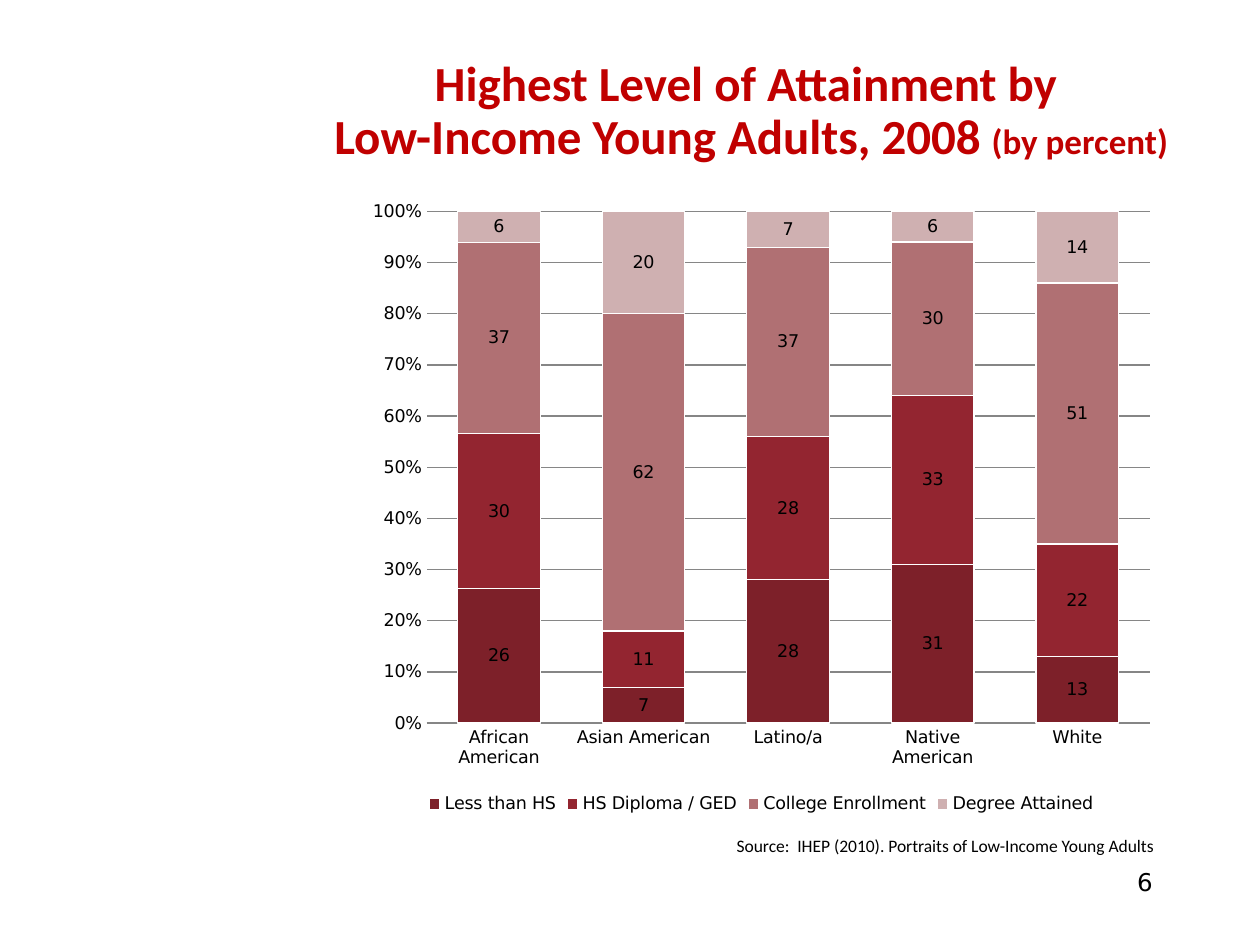
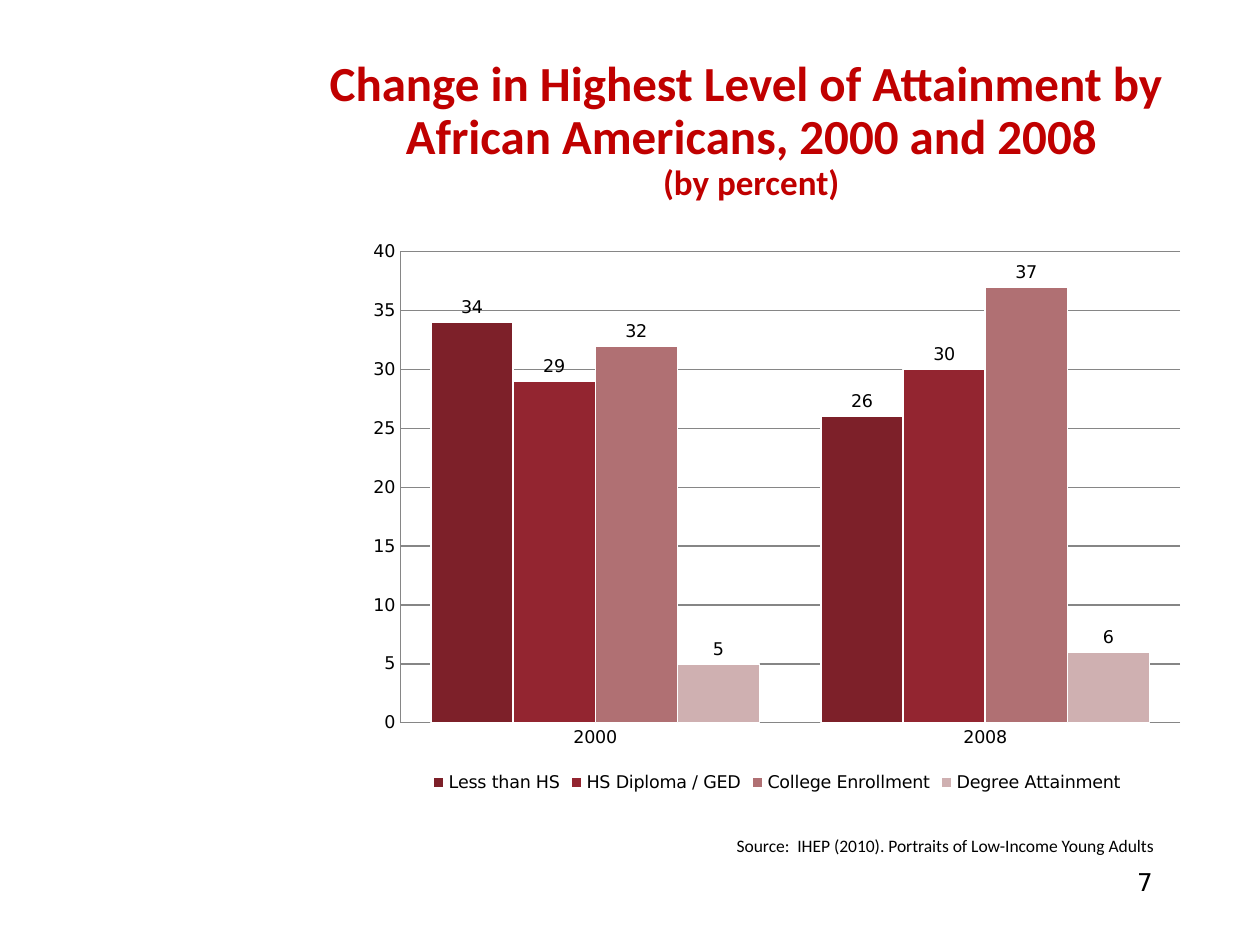
from dataclasses import dataclass

import pptx
import pptx.chart.data
import pptx.dml.color
import pptx.enum.chart
import pptx.enum.text
import pptx.util

Cm = pptx.util.Cm
Pt = pptx.util.Pt
Align = pptx.enum.text.PP_ALIGN
ChartType = pptx.enum.chart.XL_CHART_TYPE
LabelPosition = pptx.enum.chart.XL_LABEL_POSITION

TITLE_RED = "C00000"
BLACK = "000000"
WHITE = "FFFFFF"
GRID_GRAY = "868686"
SERIES_COLORS = ("7D2029", "932530", "B07073", "CFB0B1")
TEXT_FONT = "Calibri"
CHART_FONT = "DejaVu Sans"
SOURCE = "Source:  IHEP (2010). Portraits of Low-Income Young Adults"


@dataclass(frozen=True)
class Box:
    left: float
    top: float
    width: float
    height: float

    def lengths(self) -> tuple:
        return Cm(self.left), Cm(self.top), Cm(self.width), Cm(self.height)


@dataclass(frozen=True)
class TextStyle:
    size: int
    font: str = TEXT_FONT
    color: str = BLACK
    bold: bool = False


@dataclass(frozen=True)
class AttainmentSlide:
    number: int
    title_lines: tuple
    chart_box: Box
    chart_type: ChartType
    label_position: LabelPosition
    categories: tuple
    series: dict
    stacked: bool


TITLE_BOX = Box(5.72, 1.07, 18.85, 1.9)
NUMBER_BOX = Box(18.21, 17.35, 5.28, 1.27)
SOURCE_BOX = Box(14.6, 16.71, 9.07, 0.69)

TITLE = TextStyle(28, color=TITLE_RED, bold=True)
UNIT = TextStyle(20, color=TITLE_RED, bold=True)
NUMBER = TextStyle(14, font=CHART_FONT)
CAPTION = TextStyle(10)

SLIDES = (
    AttainmentSlide(
        6,
        (
            (("Highest Level of Attainment by ", TITLE),),
            (("Low-Income Young Adults, 2008 ", TITLE), ("(by percent)", UNIT)),
        ),
        Box(7.19, 3.81, 16.31, 12.7),
        ChartType.COLUMN_STACKED_100,
        LabelPosition.CENTER,
        ("African American", "Asian American", "Latino/a", "Native American", "White"),
        {
            "Less than HS": (26, 7, 28, 31, 13),
            "HS Diploma / GED": (30, 11, 28, 33, 22),
            "College Enrollment": (37, 62, 37, 30, 51),
            "Degree Attained": (6, 20, 7, 6, 14),
        },
        stacked=True,
    ),
    AttainmentSlide(
        7,
        (
            (("Change in Highest Level of Attainment by ", TITLE),),
            (("African Americans, 2000 and 2008", TITLE),),
            (("(by percent)", UNIT),),
        ),
        Box(7.19, 4.65, 16.94, 11.43),
        ChartType.COLUMN_CLUSTERED,
        LabelPosition.OUTSIDE_END,
        ("2000", "2008"),
        {
            "Less than HS": (34, 26),
            "HS Diploma / GED": (29, 30),
            "College Enrollment": (32, 37),
            "Degree Attainment": (5, 6),
        },
        stacked=False,
    ),
)


def rgb(color: str) -> pptx.dml.color.RGBColor:
    return pptx.dml.color.RGBColor.from_string(color)


def style_line(line, color: str) -> None:
    line.color.rgb = rgb(color)
    line.width = Pt(0.75)


def style_font(font, style: TextStyle) -> None:
    font.name = style.font
    font.size = Pt(style.size)
    font.bold = style.bold
    font.color.rgb = rgb(style.color)


def add_text(slide, box: Box, lines: tuple, align: Align, wrap: bool, spacing: float = 1.0) -> None:
    frame = slide.shapes.add_textbox(*box.lengths()).text_frame
    frame.word_wrap = wrap
    frame.vertical_anchor = pptx.enum.text.MSO_ANCHOR.TOP
    paragraph = frame.paragraphs[0]
    paragraph.alignment = align
    paragraph.line_spacing = spacing
    for index, line in enumerate(lines):
        if index:
            paragraph.add_line_break()
        for text, style in line:
            run = paragraph.add_run()
            run.text = text
            style_font(run.font, style)


def style_axes(chart, stacked: bool) -> None:
    value_axis = chart.value_axis
    for axis in (chart.category_axis, value_axis):
        axis.major_tick_mark = pptx.enum.chart.XL_TICK_MARK.NONE
        axis.minor_tick_mark = pptx.enum.chart.XL_TICK_MARK.NONE
        style_line(axis.format.line, GRID_GRAY)
    value_axis.has_major_gridlines = True
    style_line(value_axis.major_gridlines.format.line, GRID_GRAY)
    value_axis.minimum_scale = 0
    value_axis.maximum_scale = 1 if stacked else 40
    value_axis.major_unit = 0.1 if stacked else 5
    value_axis.tick_labels.number_format = "0%" if stacked else "0"
    value_axis.tick_labels.number_format_is_linked = False
    if stacked:
        value_axis.format.line.fill.background()


def add_attainment_chart(slide, content: AttainmentSlide) -> None:
    data = pptx.chart.data.CategoryChartData()
    data.categories = content.categories
    for name, values in content.series.items():
        data.add_series(name, values)
    chart = slide.shapes.add_chart(content.chart_type, *content.chart_box.lengths(), data).chart
    style_font(chart.font, TextStyle(10, font=CHART_FONT))
    chart.has_title = False
    chart.has_legend = True
    chart.legend.position = pptx.enum.chart.XL_LEGEND_POSITION.BOTTOM
    chart.legend.include_in_layout = False
    style_axes(chart, content.stacked)

    plot = chart.plots[0]
    plot.vary_by_categories = False
    plot.gap_width = 75
    plot.overlap = 100 if content.stacked else 0
    for series, color in zip(plot.series, SERIES_COLORS):
        series.format.fill.solid()
        series.format.fill.fore_color.rgb = rgb(color)
        style_line(series.format.line, WHITE)
        series.data_labels.show_value = True
        series.data_labels.position = content.label_position


def add_attainment_slide(presentation, content: AttainmentSlide) -> None:
    slide = presentation.slides.add_slide(presentation.slide_layouts[6])
    add_text(slide, TITLE_BOX, content.title_lines, Align.CENTER, wrap=False, spacing=0.9)
    add_text(slide, NUMBER_BOX, (((str(content.number), NUMBER),),), Align.RIGHT, wrap=True)
    add_attainment_chart(slide, content)
    add_text(slide, SOURCE_BOX, (((SOURCE, CAPTION),),), Align.LEFT, wrap=False)


def main() -> None:
    presentation = pptx.Presentation()
    presentation.slide_width = Cm(25.4)
    presentation.slide_height = Cm(19.05)
    for content in SLIDES:
        add_attainment_slide(presentation, content)
    presentation.save("out.pptx")


if __name__ == "__main__":
    main()
